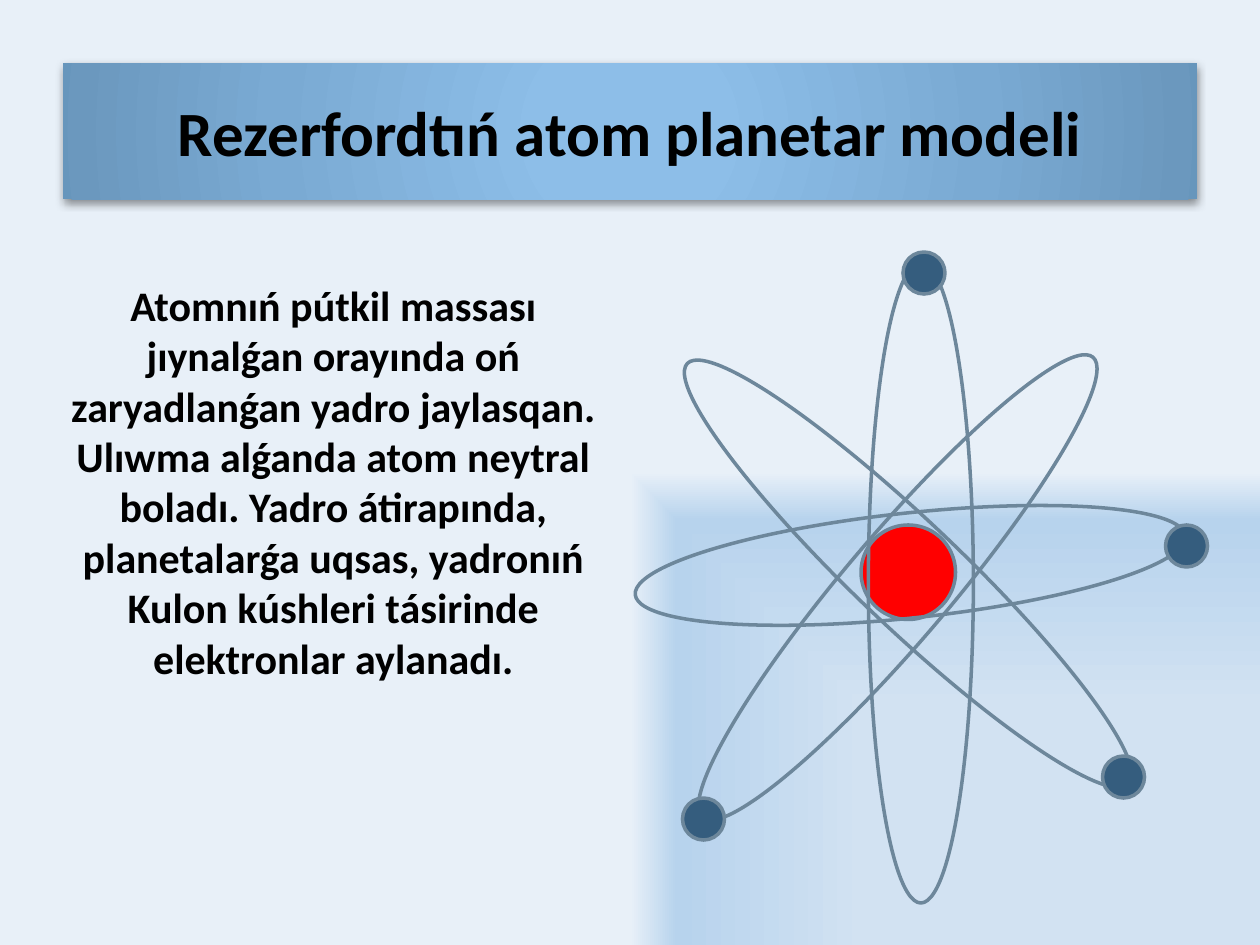
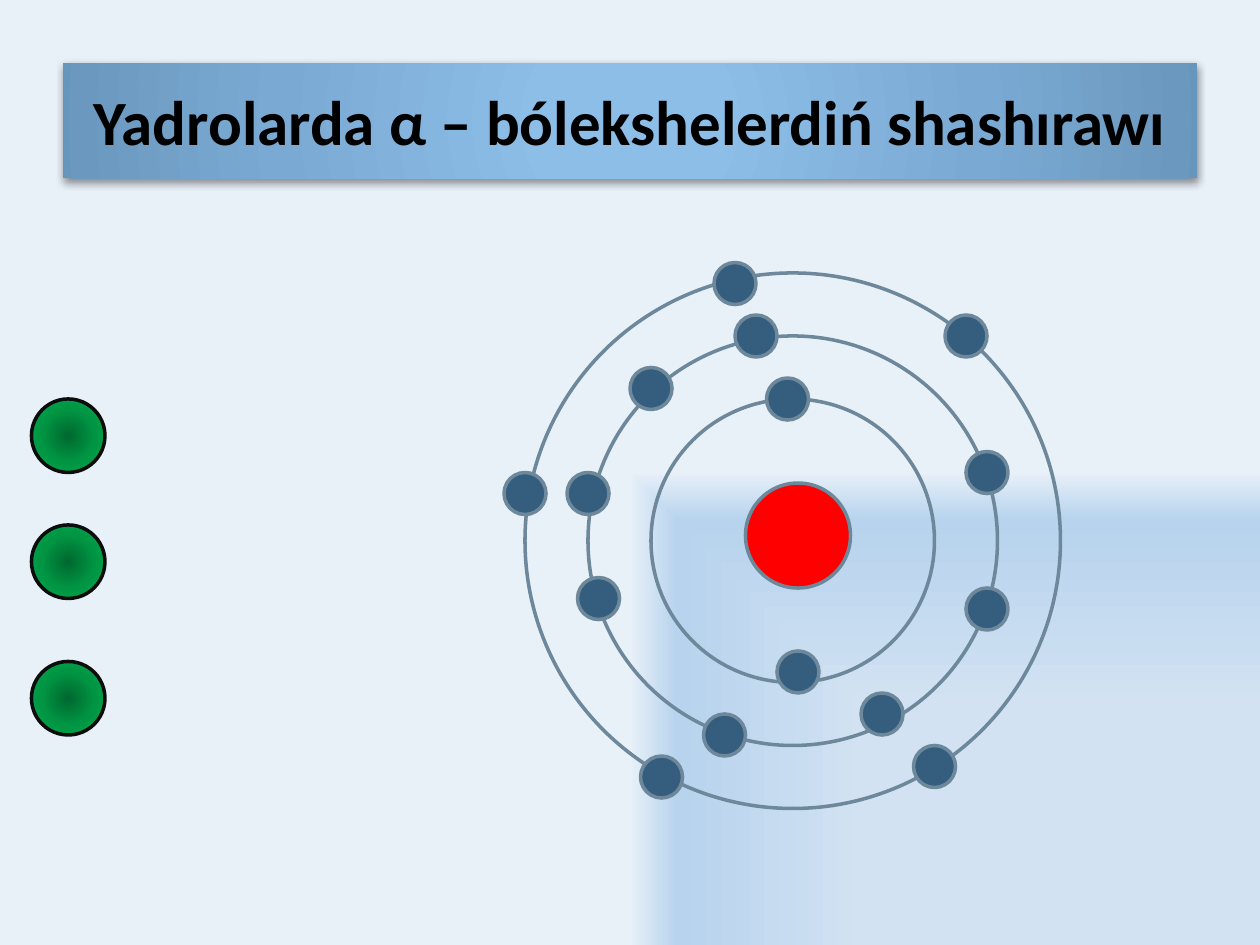
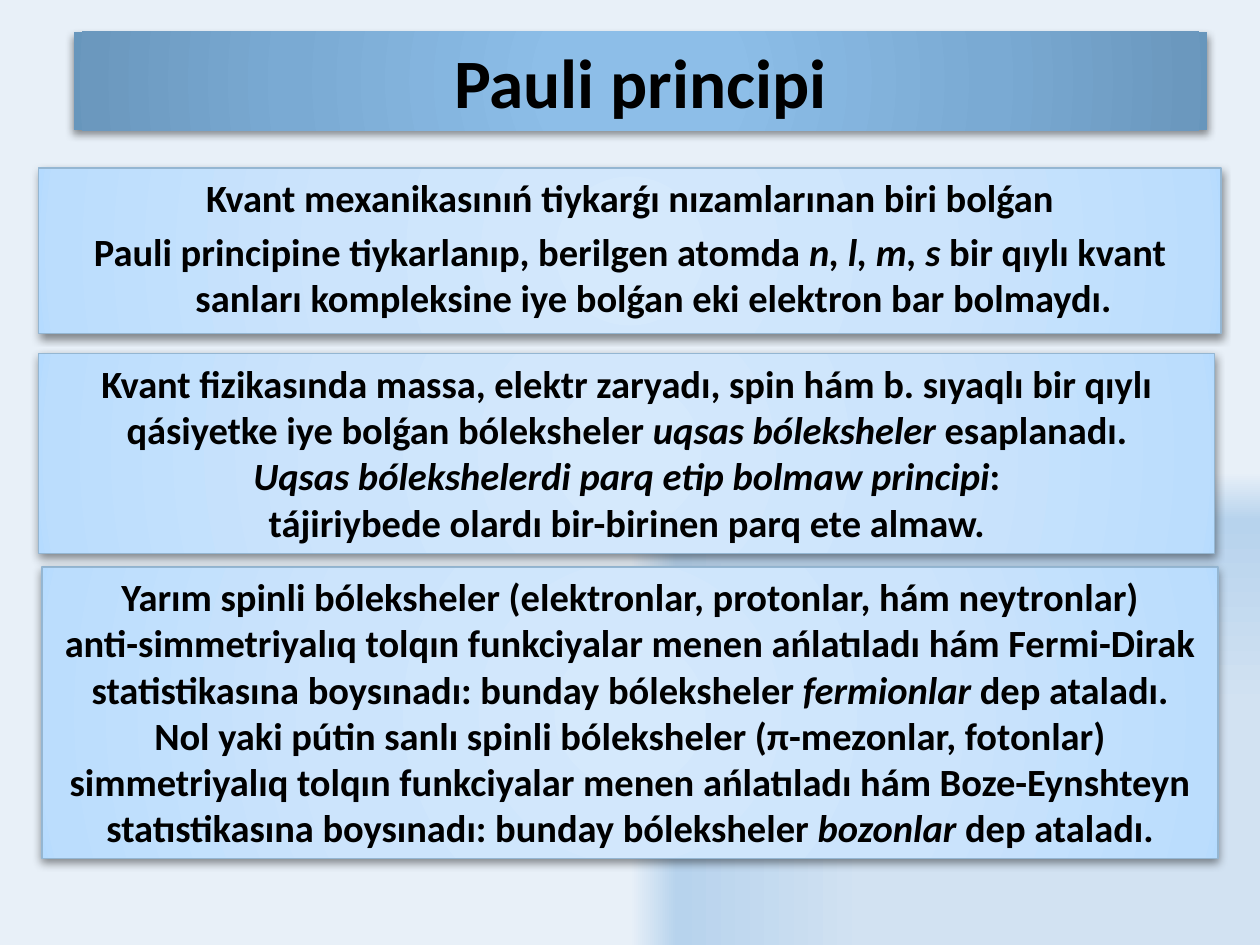
from dataclasses import dataclass
from typing import NamedTuple

import lxml.etree
import pptx
import pptx.dml.color
import pptx.enum.shapes
import pptx.enum.text
import pptx.oxml.ns
import pptx.util

PX = 7620
TITLE_AND_BODY, TITLE_ONLY = 1, 5

Stops = tuple[tuple[int, str], ...]


@dataclass(frozen=True)
class Theme:
    font: str = "Calibri"
    ink: str = "000000"
    orbit: str = "6D879B"
    electron: str = "355D7E"
    nucleus: str = "FF0000"
    alpha_line: str = "0D0D0D"
    panel_line: str = "94B6D2"
    backdrop: Stops = ((50, "D2E2F2"), (90, "B7D3ED"), (100, "E8F0F8"))
    band: Stops = ((0, "8DBFE9"), (15, "8DBEE8"), (62, "7AAAD3"),
                   (97, "6B98BE"), (100, "6796BC"))
    panel: Stops = ((0, "D5E9FC"), (50, "CCE4FC"), (97, "BBDDFD"), (100, "B5DBFF"))
    alpha: Stops = ((0, "00682F"), (50, "009443"), (100, "00B050"))
    title_size: float = 36
    large_title_size: float = 39.6
    body_size: float = 24
    panel_size: float = 22
    ring_width: float = 2
    panel_width: float = 0.75


THEME = Theme()


class Frame(NamedTuple):
    left: int
    top: int
    width: int
    height: int


class Orbit(NamedTuple):
    frame: Frame
    angle: float = 0


class Point(NamedTuple):
    left: int
    top: int


ELECTRON_SIZE = 40
ALPHA_SIZE = 70

PLANETARY_ORBITS = (
    Orbit(Frame(805, 272, 100, 575), 40.3),
    Orbit(Frame(815, 256, 100, 581), 313.6),
    Orbit(Frame(827, 250, 100, 610)),
    Orbit(Frame(817, 275, 100, 527), 83.9),
)
PLANETARY_ELECTRONS = (Point(860, 240), Point(650, 760), Point(1050, 720), Point(1110, 500))

SHELL_CENTRE = Point(755, 515)
SHELL_SIZES = (270, 390, 510)
SHELL_ELECTRONS = (
    Point(730, 360), Point(740, 620),
    Point(920, 430), Point(550, 550), Point(600, 350), Point(670, 680),
    Point(700, 300), Point(540, 450), Point(820, 660), Point(920, 560),
    Point(680, 250), Point(870, 710), Point(900, 300), Point(480, 450), Point(610, 720),
)
ALPHA_PARTICLES = (Point(30, 380), Point(30, 500), Point(30, 630))

ATOM_TEXT = (
    "Atomnıń pútkil massası jıynalǵan orayında oń zaryadlanǵan yadro jaylasqan. "
    "Ulıwma alǵanda atom neytral boladı. Yadro átirapında, planetalarǵa uqsas, "
    "yadronıń Kulon kúshleri tásirinde elektronlar aylanadı.",
)
PAULI_TEXT = (
    "Kvant mexanikasınıń tiykarǵı nızamlarınan biri bolǵan",
    "Pauli principine tiykarlanıp, berilgen atomda *n, l, m, s* bir qıylı kvant "
    "sanları kompleksine iye bolǵan eki elektron bar bolmaydı.",
)
IDENTITY_TEXT = (
    "Kvant fizikasında massa, elektr zaryadı, spin hám b. sıyaqlı bir qıylı "
    "qásiyetke iye bolǵan bóleksheler *uqsas bóleksheler* esaplanadı.",
    "*Uqsas bólekshelerdi parq etip bolmaw principi*:",
    "tájiriybede olardı bir-birinen parq ete almaw.",
)
SPIN_TEXT = (
    "Yarım spinli bóleksheler (elektronlar, protonlar, hám neytronlar)",
    "anti-simmetriyalıq tolqın funkciyalar menen ańlatıladı hám Fermi-Dirak "
    "statistikasına boysınadı: bunday bóleksheler *fermionlar* dep ataladı.",
    "Nol yaki pútin sanlı spinli bóleksheler (π-mezonlar, fotonlar) "
    "simmetriyalıq tolqın funkciyalar menen ańlatıladı hám Boze-Eynshteyn "
    "statıstikasına boysınadı: bunday bóleksheler *bozonlar* dep ataladı.",
)


def rgb(value: str) -> pptx.dml.color.RGBColor:
    return pptx.dml.color.RGBColor.from_string(value)


def add_node(parent, tag: str, **attributes):
    values = {name: str(value) for name, value in attributes.items()}
    return lxml.etree.SubElement(parent, pptx.oxml.ns.qn(tag), values)


def paint_gradient(owner, fill, stops: Stops, path: str = "circle",
                   focus: tuple[int, ...] = (50, 50, 50, 50)) -> None:
    fill.gradient()
    gradient = owner._element.find(".//" + pptx.oxml.ns.qn("a:gradFill"))
    for child in list(gradient):
        gradient.remove(child)
    stop_list = add_node(gradient, "a:gsLst")
    for position, color in stops:
        add_node(add_node(stop_list, "a:gs", pos=position * 1000), "a:srgbClr", val=color)
    sides = {side: f"{share}%" for side, share in zip("ltrb", focus)}
    sides = {side: int(share.rstrip("%")) * 1000 for side, share in sides.items()}
    add_node(add_node(gradient, "a:path", path=path), "a:fillToRect", **sides)


def cast_shadow(box) -> None:
    box.shadow.inherit = False
    effects = box._element.spPr.find(pptx.oxml.ns.qn("a:effectLst"))
    shadow = add_node(effects, "a:outerShdw", blurRad=int(pptx.util.Pt(5)),
                      dist=int(pptx.util.Pt(2)), dir=90 * 60000, algn="ctr", rotWithShape=0)
    add_node(add_node(shadow, "a:srgbClr", val="000000"), "a:alpha", val=43000)


def place(box, frame: Frame) -> None:
    box.left, box.top, box.width, box.height = (side * PX for side in frame)


def write(box, paragraphs: tuple[str, ...], *, size: float, anchor: str = "TOP",
          fit: str = "NONE", margin: int | None = None, indent: int = 0) -> None:
    frame = box.text_frame
    frame.word_wrap = True
    frame.auto_size = getattr(pptx.enum.text.MSO_AUTO_SIZE, fit)
    frame.vertical_anchor = getattr(pptx.enum.text.MSO_ANCHOR, anchor)
    for index, text in enumerate(paragraphs):
        para = frame.add_paragraph() if index else frame.paragraphs[0]
        para.alignment = pptx.enum.text.PP_ALIGN.CENTER
        if margin is not None:
            properties = para._p.get_or_add_pPr()
            properties.set("marL", str(margin * PX))
            properties.set("indent", str(indent * PX))
            add_node(properties, "a:buNone")
        for order, part in enumerate(text.split("*")):
            if part:
                span = para.add_run()
                span.text = part
                span.font.name = THEME.font
                span.font.size = pptx.util.Pt(size)
                span.font.bold = True
                span.font.italic = order % 2 == 1
                span.font.color.rgb = rgb(THEME.ink)


def add_page(deck, layout: int, title: str, frame: Frame, size: float = THEME.title_size):
    page = deck.slides.add_slide(deck.slide_layouts[layout])
    band = page.shapes.title
    place(band, frame)
    paint_gradient(band, band.fill, THEME.band)
    cast_shadow(band)
    write(band, (title,), size=size, anchor="MIDDLE")
    return page


def add_ellipse(page, frame: Frame, *, fill: str | Stops | None = None,
                line: str = THEME.orbit, angle: float = 0) -> None:
    ellipse = page.shapes.add_shape(pptx.enum.shapes.MSO_SHAPE.OVAL,
                                    *(side * PX for side in frame))
    ellipse.rotation = angle
    ellipse.shadow.inherit = False
    if fill is None:
        ellipse.fill.background()
    elif isinstance(fill, str):
        ellipse.fill.solid()
        ellipse.fill.fore_color.rgb = rgb(fill)
    else:
        paint_gradient(ellipse, ellipse.fill, fill)
    ellipse.line.color.rgb = rgb(line)
    ellipse.line.width = pptx.util.Pt(THEME.ring_width)


def add_electrons(page, points: tuple[Point, ...]) -> None:
    for point in points:
        add_ellipse(page, Frame(*point, ELECTRON_SIZE, ELECTRON_SIZE), fill=THEME.electron)


def style_panel(box) -> None:
    paint_gradient(box, box.fill, THEME.panel)
    box.line.color.rgb = rgb(THEME.panel_line)
    box.line.width = pptx.util.Pt(THEME.panel_width)
    cast_shadow(box)


def add_panel(page, frame: Frame, paragraphs: tuple[str, ...]) -> None:
    box = page.shapes.add_shape(pptx.enum.shapes.MSO_SHAPE.RECTANGLE,
                                *(side * PX for side in frame))
    style_panel(box)
    write(box, paragraphs, size=THEME.panel_size, fit="SHAPE_TO_FIT_TEXT")


def build_planetary_model(deck) -> None:
    page = add_page(deck, TITLE_AND_BODY, "Rezerfordtıń atom planetar modeli",
                    Frame(60, 60, 1080, 130))
    body = page.placeholders[1]
    place(body, Frame(0, 260, 590, 600))
    write(body, ATOM_TEXT, size=THEME.body_size, margin=45)
    add_ellipse(page, Frame(820, 500, 90, 90), fill=THEME.nucleus)
    for orbit in PLANETARY_ORBITS:
        add_ellipse(page, orbit.frame, angle=orbit.angle)
    add_electrons(page, PLANETARY_ELECTRONS)


def build_scattering(deck) -> None:
    page = add_page(deck, TITLE_ONLY, "Yadrolarda α – bólekshelerdiń shashırawı",
                    Frame(60, 60, 1080, 110))
    add_ellipse(page, Frame(710, 460, 100, 100), fill=THEME.nucleus)
    for size in SHELL_SIZES:
        add_ellipse(page, Frame(SHELL_CENTRE.left - size // 2,
                                SHELL_CENTRE.top - size // 2, size, size))
    add_electrons(page, SHELL_ELECTRONS)
    for point in ALPHA_PARTICLES:
        add_ellipse(page, Frame(*point, ALPHA_SIZE, ALPHA_SIZE),
                    fill=THEME.alpha, line=THEME.alpha_line)


def build_pauli_principle(deck) -> None:
    page = add_page(deck, TITLE_AND_BODY, "Pauli principi",
                    Frame(70, 30, 1080, 94), THEME.large_title_size)
    body = page.placeholders[1]
    place(body, Frame(37, 160, 1126, 158))
    style_panel(body)
    write(body, PAULI_TEXT, size=THEME.panel_size, margin=45, indent=-45)
    add_panel(page, Frame(40, 540, 1120, 278), SPIN_TEXT)
    add_panel(page, Frame(37, 337, 1120, 190), IDENTITY_TEXT)


def main() -> None:
    deck = pptx.Presentation()
    deck.slide_width, deck.slide_height = 1200 * PX, 900 * PX
    master = deck.slide_master
    paint_gradient(master, master.background.fill, THEME.backdrop,
                   path="rect", focus=(100, 100, 0, 0))
    build_planetary_model(deck)
    build_scattering(deck)
    build_pauli_principle(deck)
    deck.save("out.pptx")


if __name__ == "__main__":
    main()
